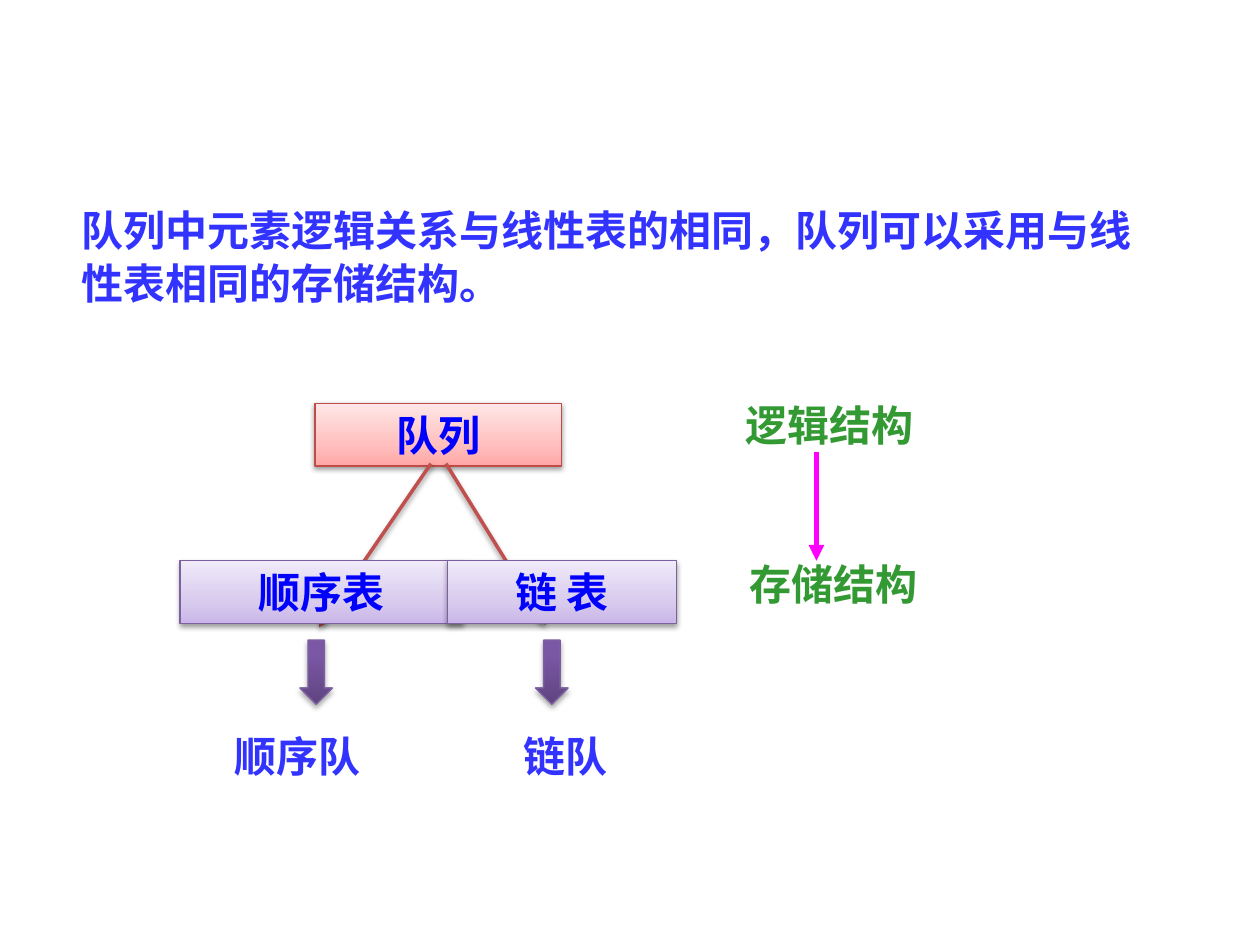
from dataclasses import dataclass

from lxml.etree import SubElement
from pptx import Presentation
from pptx.dml.color import RGBColor
from pptx.enum.shapes import MSO_CONNECTOR as Connector, MSO_SHAPE as Preset
from pptx.enum.text import MSO_ANCHOR as Anchor, MSO_AUTO_SIZE as AutoSize, PP_ALIGN as Align
from pptx.oxml.ns import qn
from pptx.util import Inches, Pt


@dataclass(frozen=True)
class Theme:
    """Colours, fonts and sizes of the deck."""
    blue: str = "3333FF"
    node_text: str = "0000FF"
    green: str = "339933"
    magenta: str = "FF00FF"
    link: str = "C0504D"
    red_line: str = "BF4C48"
    purple_line: str = "7D60A0"
    red: tuple = ((0, "FFA6A5"), (35, "FFC0BF"), (100, "FFE7E7"))
    lilac: tuple = ((0, "C9B5E8"), (35, "D8CBEE"), (100, "F0EAF9"))
    purple: tuple = ((0, "5F4480"), (80, "7B58A6"), (100, "7C57A8"))
    sans: str = "Noto Sans CJK SC"
    sans_jp: str = "Noto Sans CJK JP"
    serif: str = "Times New Roman"
    latin: str = "Calibri"
    size: int = 24
    leading: int = 30


THEME = Theme()


@dataclass(frozen=True)
class Region:
    """A part of the page, on a grid of 100 columns by 75 rows."""
    column: float
    row: float

    def point(self, column, row):
        """Return a grid point of the region as page lengths."""
        return Inches((self.column + column) / 10), Inches((self.row + row) / 10)

    def area(self, column, row, columns, rows):
        """Return a grid area of the region as page lengths."""
        return *self.point(column, row), Inches(columns / 10), Inches(rows / 10)


def write(box, text, color, font, align=Align.LEFT, leading=None):
    """Put one bold paragraph into a box."""
    frame = box.text_frame
    formats = {"word_wrap": True, "auto_size": AutoSize.SHAPE_TO_FIT_TEXT,
               "vertical_anchor": Anchor.TOP}
    for name, value in formats.items():
        setattr(frame, name, value)
    para = frame.paragraphs[0]
    para.alignment = align
    if leading:
        para.line_spacing = Pt(leading)
    span = para.add_run()
    span.text = text
    for name, value in {"size": Pt(THEME.size), "bold": True, "name": font}.items():
        setattr(span.font, name, value)
    span.font.color.rgb = RGBColor.from_string(color)
    east_asian = font if font.startswith("Noto") else THEME.sans
    SubElement(span.font._element, qn("a:ea"), typeface=east_asian)


def add_label(page, area, *args, **formats):
    """Add a text box."""
    write(page.shapes.add_textbox(*area), *args, **formats)


def set_line(shape, color, width):
    """Colour an outline or a connector."""
    shape.line.color.rgb = RGBColor.from_string(color)
    shape.line.width = Pt(width)


def add_color(parent, color):
    """Append an RGB colour element."""
    return SubElement(parent, qn("a:srgbClr"), val=color)


def set_shadow(shape, opacity=None, distance=1.6):
    """Give a shape a soft shadow below, or none without an opacity."""
    effects = SubElement(shape._element.spPr, qn("a:effectLst"))
    if opacity:
        shadow = SubElement(effects, qn("a:outerShdw"), blurRad=str(Pt(3.1)),
                            dist=str(Pt(distance)), dir="5400000", rotWithShape="0")
        SubElement(add_color(shadow, "000000"), qn("a:alpha"), val=str(opacity * 1000))


def add_block(page, preset, area, stops, line, opacity, distance):
    """Add a gradient shape with an outline and a shadow."""
    shape = page.shapes.add_shape(preset, *area)
    shape.fill.gradient()
    shape.fill.gradient_angle = 90
    stop_list = shape._element.spPr.find(f".//{qn('a:gsLst')}")
    for stop in list(stop_list):
        stop_list.remove(stop)
    for place, color in stops:
        add_color(SubElement(stop_list, qn("a:gs"), pos=str(place * 1000)), color)
    set_line(shape, line, 0.75)
    set_shadow(shape, opacity, distance)
    return shape


def add_node(page, area, text, stops, line, font):
    """Add a captioned rectangle of the tree."""
    box = add_block(page, Preset.RECTANGLE, area, stops, line, 38, 1.6)
    write(box, text, THEME.node_text, font, Align.CENTER)


def add_arrow(page, start, end, color, width, opacity=None):
    """Add a straight connector with an arrowhead."""
    arrow = page.shapes.add_connector(Connector.STRAIGHT, *start, *end)
    set_line(arrow, color, width)
    SubElement(arrow.line._get_or_add_ln(), qn("a:tailEnd"), type="triangle")
    set_shadow(arrow, opacity)


def add_statement(page, region):
    """Add the opening sentence."""
    add_label(page, region.area(0, 0, 88.3, 9.4),
              "队列中元素逻辑关系与线性表的相同，队列可以采用与线性表相同的存储结构。",
              THEME.blue, THEME.serif, leading=THEME.leading)


def add_levels(page, region):
    """Add the two structure levels and the arrow between them."""
    for text, area in (("逻辑结构", (0, 0, 21.7, 5)), ("存储结构", (0.3, 12.6, 23, 5))):
        add_label(page, region.area(*area), text, THEME.green, THEME.sans)
    add_arrow(page, region.point(6.6, 4.7), region.point(6.6, 13.3), THEME.magenta, 3)


def add_tree(page, region):
    """Add the queue, its two storage forms and their results."""
    add_node(page, region.area(15.9, 0, 19.6, 5), "队列",
             THEME.red, THEME.red_line, THEME.latin)
    for start, end in (((25.1, 4.8), (16.2, 17.8)), ((26.3, 4.8), (34.2, 17.6))):
        add_arrow(page, region.point(*start), region.point(*end), THEME.link, 2, 38)
    for text, column, columns in (("顺序表", 5.2, 22.4), ("链 表", 26.4, 18.2)):
        add_node(page, region.area(column, 12.5, columns, 5), text,
                 THEME.lilac, THEME.purple_line, THEME.sans)
    for text, column, arrow_column in (("顺序队", 0, 14.7), ("链队", 21.3, 33.4)):
        add_label(page, region.area(column, 25.5, 29, 5), text,
                  THEME.blue, THEME.sans_jp, align=Align.CENTER)
        add_block(page, Preset.DOWN_ARROW, region.area(arrow_column, 18.8, 2.6, 5.1),
                  THEME.purple, THEME.purple_line, 35, 1.8)


def main():
    """Build and save the deck."""
    deck = Presentation()
    deck.slide_width, deck.slide_height = Inches(10), Inches(7.5)
    page = deck.slides.add_slide(deck.slide_layouts[6])
    add_statement(page, Region(5.5, 15.6))
    add_levels(page, Region(58.2, 31.2))
    add_tree(page, Region(9.1, 32))
    deck.save("out.pptx")


if __name__ == "__main__":
    main()
